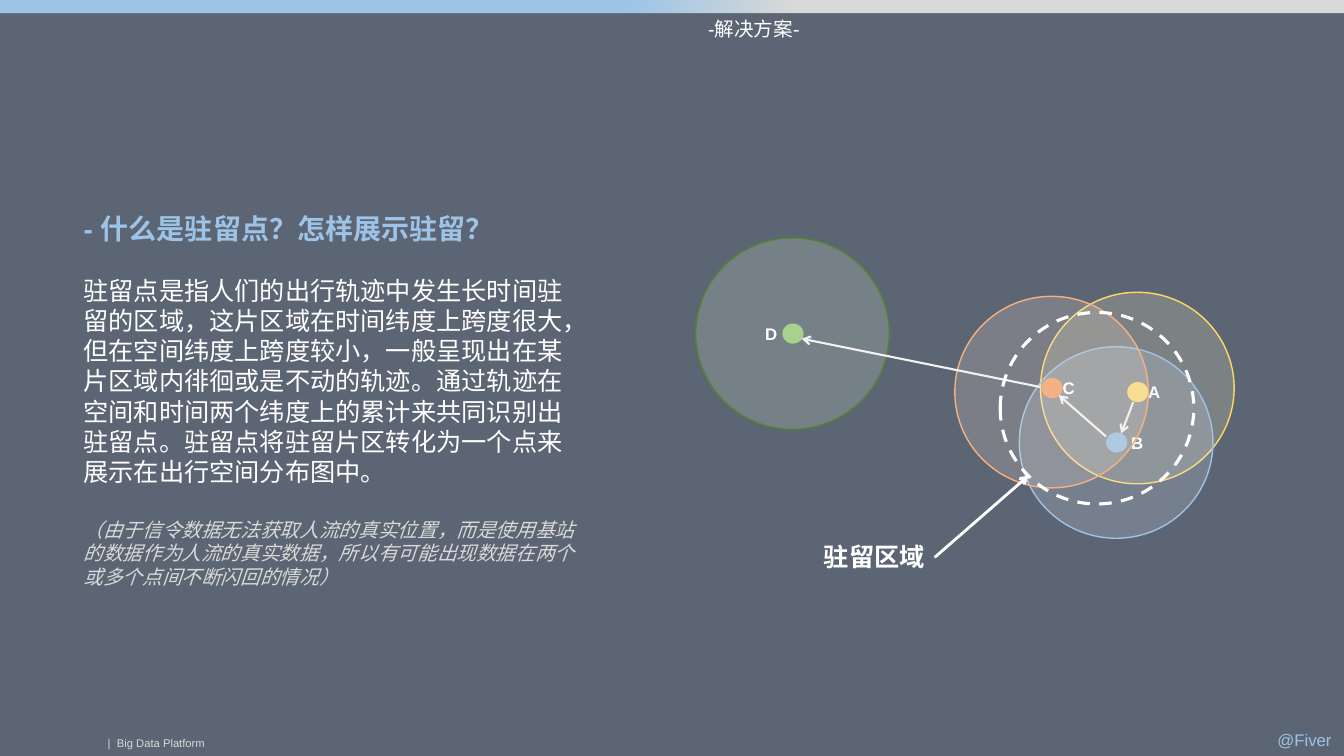
from dataclasses import dataclass
from typing import Optional

import lxml.etree
import pptx
import pptx.dml.color
import pptx.enum.dml
import pptx.enum.shapes
import pptx.enum.text
import pptx.oxml.ns
import pptx.shapes.autoshape
import pptx.slide
import pptx.text.text
import pptx.util

RGBColor = pptx.dml.color.RGBColor
Shape = pptx.shapes.autoshape.Shape
Slide = pptx.slide.Slide
MSO_SHAPE = pptx.enum.shapes.MSO_SHAPE
PP_ALIGN = pptx.enum.text.PP_ALIGN

EMU_PER_PX = 9144  # 100 px to the inch
FONT = "Arial"

SLATE = RGBColor(0x5C, 0x65, 0x73)
WHITE = RGBColor(0xFF, 0xFF, 0xFF)
OFF_WHITE = RGBColor(0xF2, 0xF2, 0xF2)
GREY = RGBColor(0xD9, 0xD9, 0xD9)
BLUE = RGBColor(0x9D, 0xC3, 0xE6)
PALE_BLUE = RGBColor(0xDE, 0xEB, 0xF7)
YELLOW = RGBColor(0xFF, 0xD9, 0x66)
PALE_YELLOW = RGBColor(0xFF, 0xF2, 0xCC)
ORANGE = RGBColor(0xF4, 0xB1, 0x83)
PALE_ORANGE = RGBColor(0xFB, 0xE5, 0xD6)
GREEN = RGBColor(0xA9, 0xD1, 0x8E)
DARK_GREEN = RGBColor(0x54, 0x82, 0x35)
PALE_GREEN = RGBColor(0xE2, 0xF0, 0xD9)

RANGE_SIZE = (192, 190)
DOT_SIZE = (21, 20)
DOT_DX = 86
LABEL_SIZE = (33, 30)
LABEL_DY = -5


@dataclass(frozen=True)
class Arrow:
    start: tuple[int, int]
    end: tuple[int, int]
    color: RGBColor = OFF_WHITE
    weight: float = 1.5


@dataclass(frozen=True)
class Station:
    """A base station: its range circle, its dot and the arrow leading to it."""
    name: str
    left: int
    top: int
    dot_dy: int
    label_dx: int
    dot_color: RGBColor
    range_color: RGBColor
    outline: RGBColor
    arrival: Optional[Arrow] = None


@dataclass(frozen=True)
class Caption:
    text: str
    box: tuple[int, int, int, int]
    size: int
    color: RGBColor
    bold: bool = False
    wrap: bool = True
    align: PP_ALIGN = PP_ALIGN.LEFT


STAY_STATIONS = [
    Station("A", 1032, 290, 89, 11, YELLOW, PALE_YELLOW, YELLOW),
    Station("B", 1011, 344, 85, 15, BLUE, PALE_BLUE, BLUE,
            Arrow((1124, 399), (1112, 430))),
    Station("C", 947, 294, 81, 11, ORANGE, PALE_ORANGE, ORANGE,
            Arrow((1097, 433), (1050, 392))),
]
FAR_STATION = Station("D", 690, 236, 85, -27, GREEN, PALE_GREEN, DARK_GREEN,
                      Arrow((1032, 384), (795, 336)))

CAPTIONS = [
    Caption("-解决方案-", (634, 12, 169, 34), 14, WHITE, align=PP_ALIGN.RIGHT),
    Caption("|  Big Data Platform", (97, 726, 140, 23), 8, GREY),
    Caption("@Fiver", (1257, 719, 77, 30), 12, BLUE, wrap=False),
    Caption("驻留区域", (795, 532, 132, 40), 18, WHITE, bold=True, align=PP_ALIGN.RIGHT),
]

TITLE = "- 什么是驻留点？怎样展示驻留？"
DEFINITION = (
    "驻留点是指人们的出行轨迹中发生长时间驻留的区域，这片区域在时间纬度上跨度很大，"
    "但在空间纬度上跨度较小，一般呈现出在某片区域内徘徊或是不动的轨迹。"
    "通过轨迹在空间和时间两个纬度上的累计来共同识别出驻留点。"
    "驻留点将驻留片区转化为一个点来展示在出行空间分布图中。"
)
REMARK = (
    "（由于信令数据无法获取人流的真实位置，而是使用基站的数据作为人流的真实数据，"
    "所以有可能出现数据在两个或多个点间不断闪回的情况）"
)


def px(*lengths: int) -> list[pptx.util.Emu]:
    return [pptx.util.Emu(length * EMU_PER_PX) for length in lengths]


def set_font(paragraph: pptx.text.text._Paragraph, size: int, color: RGBColor,
             bold: bool = False, italic: bool = False) -> None:
    font = paragraph.font
    font.name, font.size = FONT, pptx.util.Pt(size)
    font.bold, font.italic = bold, italic
    font.color.rgb = color


def add_plain_shape(slide: Slide, kind: MSO_SHAPE, *box: int) -> Shape:
    """Add a shape with no shadow, fill or outline."""
    shape = slide.shapes.add_shape(kind, *px(*box))
    shape.shadow.inherit = False
    shape.fill.background()
    shape.line.fill.background()
    return shape


def fill_solid(shape: Shape, color: RGBColor, opacity: int = 100) -> None:
    shape.fill.solid()
    shape.fill.fore_color.rgb = color
    if opacity < 100:
        tint = shape._element.spPr.find(pptx.oxml.ns.qn("a:solidFill"))[0]
        lxml.etree.SubElement(tint, pptx.oxml.ns.qn("a:alpha"), val=str(opacity * 1000))


def outline_shape(shape: Shape, color: RGBColor, weight: float) -> None:
    shape.line.color.rgb = color
    shape.line.width = pptx.util.Pt(weight)


def add_caption(slide: Slide, caption: Caption) -> None:
    frame = slide.shapes.add_textbox(*px(*caption.box)).text_frame
    frame.word_wrap = caption.wrap
    paragraph = frame.paragraphs[0]
    paragraph.text = caption.text
    paragraph.alignment = caption.align
    set_font(paragraph, caption.size, caption.color, caption.bold)


def add_arrow(slide: Slide, arrow: Arrow) -> None:
    line = slide.shapes.add_connector(
        pptx.enum.shapes.MSO_CONNECTOR.STRAIGHT, *px(*arrow.start, *arrow.end))
    line.line.color.rgb = arrow.color
    line.line.width = pptx.util.Pt(arrow.weight)
    lxml.etree.SubElement(line.line._get_or_add_ln(), pptx.oxml.ns.qn("a:tailEnd"), type="arrow")
    lxml.etree.SubElement(line._element.spPr, pptx.oxml.ns.qn("a:effectLst"))


def add_station(slide: Slide, station: Station) -> None:
    coverage = add_plain_shape(slide, MSO_SHAPE.OVAL, station.left, station.top, *RANGE_SIZE)
    fill_solid(coverage, station.range_color, opacity=20)
    outline_shape(coverage, station.outline, 1)

    dot_left, dot_top = station.left + DOT_DX, station.top + station.dot_dy
    dot = add_plain_shape(slide, MSO_SHAPE.OVAL, dot_left, dot_top, *DOT_SIZE)
    fill_solid(dot, station.dot_color)

    label_box = (dot_left + station.label_dx, dot_top + LABEL_DY, *LABEL_SIZE)
    add_caption(slide, Caption(station.name, label_box, 12, WHITE, bold=True, wrap=False))
    if station.arrival:
        add_arrow(slide, station.arrival)


def add_top_band(slide: Slide) -> None:
    band = add_plain_shape(slide, MSO_SHAPE.RECTANGLE, 0, -1, 1333, 14)
    fill_solid(band, GREY)
    fade = add_plain_shape(slide, MSO_SHAPE.RECTANGLE, 0, -1, 803, 14)
    fade.fill.gradient()
    fade.fill.gradient_angle = 0
    for stop, position, color in zip(fade.fill.gradient_stops, (0.77, 0.99), (BLUE, GREY)):
        stop.position = position
        stop.color.rgb = color


def add_stay_area(slide: Slide) -> None:
    area = add_plain_shape(slide, MSO_SHAPE.OVAL, 992, 310, *RANGE_SIZE)
    outline_shape(area, WHITE, 2.25)
    area.line.dash_style = pptx.enum.dml.MSO_LINE.DASH
    add_arrow(slide, Arrow((927, 553), (1020, 472), WHITE, 2))


def add_explanation(slide: Slide) -> None:
    title = slide.shapes.title
    title.left, title.top, title.width, title.height = px(73, 205, 512, 43)
    title.text_frame.text = TITLE
    title.text_frame.vertical_anchor = pptx.enum.text.MSO_ANCHOR.TOP
    heading = title.text_frame.paragraphs[0]
    heading.alignment = PP_ALIGN.LEFT
    set_font(heading, 20, BLUE, bold=True)

    body = slide.shapes.add_textbox(*px(73, 268, 512, 324)).text_frame
    body.word_wrap = True
    definition, remark = body.paragraphs[0], body.add_paragraph()
    definition.text, remark.text = DEFINITION, REMARK
    set_font(definition, 18, WHITE)
    set_font(remark, 14, GREY, italic=True)
    remark.space_before = pptx.util.Pt(22)


def main() -> None:
    deck = pptx.Presentation()
    deck.slide_width, deck.slide_height = px(1333, 750)
    slide = deck.slides.add_slide(deck.slide_layouts.get_by_name("Title Only"))
    slide.background.fill.solid()
    slide.background.fill.fore_color.rgb = SLATE

    for station in STAY_STATIONS:
        add_station(slide, station)
    add_top_band(slide)
    add_explanation(slide)
    add_station(slide, FAR_STATION)
    add_stay_area(slide)
    for caption in CAPTIONS:
        add_caption(slide, caption)
    deck.save("out.pptx")


if __name__ == "__main__":
    main()
